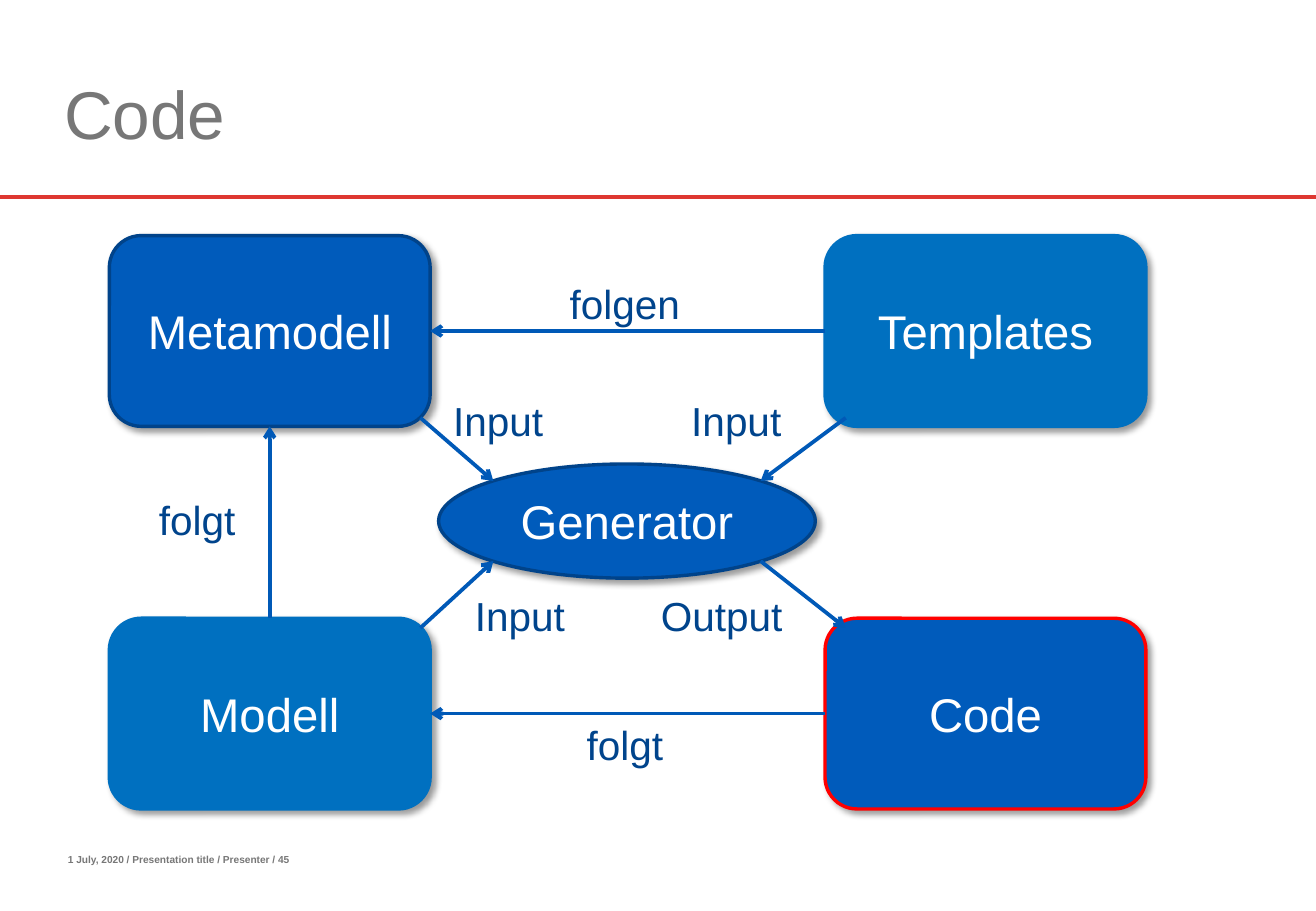
from dataclasses import dataclass

from lxml import etree
from pptx import Presentation
from pptx.dml.color import RGBColor
from pptx.enum.shapes import MSO_CONNECTOR, MSO_SHAPE
from pptx.enum.text import MSO_ANCHOR, PP_ALIGN
from pptx.oxml import parse_xml
from pptx.oxml.ns import nsdecls, qn
from pptx.util import Inches, Pt

ROUND, OVAL = MSO_SHAPE.ROUNDED_RECTANGLE, MSO_SHAPE.OVAL
STRAIGHT = MSO_CONNECTOR.STRAIGHT
TOP, MIDDLE, BOTTOM = MSO_ANCHOR.TOP, MSO_ANCHOR.MIDDLE, MSO_ANCHOR.BOTTOM
CENTER = PP_ALIGN.CENTER
NORTH, WEST, SOUTH, EAST = range(4)
FONT = "Arial"
GRAY, RED, WHITE = "777777", "DE3731", "FFFFFF"
BLUE, LIGHT, NAVY, ALERT = "005BBB", "0070C0", "00438A", "FF0000"
ARROW, LABEL = "0059B7", "00448C"
LEFT, RIGHT, UPPER, LOWER = 0.9, 6.79, 1.94, 5.09
WIDE, HIGH = 2.64, 1.57


@dataclass
class Node:
    name: str
    x: float
    y: float
    fill: str
    edge: str
    w: float = WIDE
    h: float = HIGH
    kind: int = ROUND


@dataclass
class Link:
    start: str
    out: int
    end: str
    into: int


@dataclass
class Ray:
    x1: float
    y1: float
    x2: float
    y2: float


@dataclass
class Note:
    text: str
    x: float
    y: float
    w: float
    h: float = 0.5
    size: int = 24
    color: str = LABEL
    bold: bool = False
    wrap: bool = False
    anchor: int = TOP


NODES = [
    Node("Metamodell", LEFT, UPPER, BLUE, NAVY),
    Node("Modell", LEFT, LOWER, LIGHT, LIGHT),
    Node("Templates", RIGHT, UPPER, LIGHT, LIGHT),
    Node("Code", RIGHT, LOWER, BLUE, ALERT),
    Node("Generator", 3.61, 3.82, BLUE, NAVY, 3.1, 0.94, OVAL),
]
LINKS = [
    Link("Modell", NORTH, "Metamodell", SOUTH),
    Link("Templates", WEST, "Metamodell", EAST),
    Link("Code", WEST, "Modell", EAST),
]
RAYS = [
    Ray(3.46, 3.44, 4.06, 3.96),
    Ray(6.96, 3.44, 6.26, 3.96),
    Ray(3.46, 5.17, 4.06, 4.62),
    Ray(6.26, 4.62, 6.96, 5.17),
]
NOTES = [
    Note("1 July, 2020 / Presentation title / Presenter / 45",
         0.46, 6.98, 4.49, 0.2, 6, GRAY, True, True),
    Note("Code", 0.43, 0.3, 8.03, 1.01, 40, GRAY, False, True, BOTTOM),
    Note("folgen", 4.59, 2.25, 1.14),
    Note("folgt", 1.21, 4.03, 0.84),
    Note("Input", 3.63, 3.21, 0.95),
    Note("Input", 5.59, 3.21, 0.95),
    Note("Input", 3.81, 4.82, 0.95),
    Note("Output", 5.34, 4.82, 1.21),
    Note("folgt", 4.73, 5.88, 0.84),
]


def rgb(code: str) -> RGBColor:
    """Turn a hex string into a colour."""
    return RGBColor.from_string(code)


def write(frame, text: str, size: int, color: str, bold: bool = False) -> None:
    """Add one styled run to the first paragraph."""
    run = frame.paragraphs[0].add_run()
    run.text = text
    font = run.font
    font.name, font.size, font.bold = FONT, Pt(size), bold
    font.color.rgb = rgb(color)


def shade(shape) -> None:
    """Give a shape a soft shadow to the lower right."""
    shape.shadow.inherit = False
    cast = parse_xml(
        f'<a:outerShdw {nsdecls("a")} blurRad="{Pt(4)}" dist="{Pt(3)}" '
        'dir="2700000" algn="tl" rotWithShape="0"><a:srgbClr val="000000">'
        '<a:alpha val="40000"/></a:srgbClr></a:outerShdw>')
    shape._element.spPr.find(qn("a:effectLst")).append(cast)


def add_node(slide, node: Node):
    """Draw a box or oval with its name."""
    shape = slide.shapes.add_shape(
        node.kind, Inches(node.x), Inches(node.y), Inches(node.w), Inches(node.h))
    shape.fill.solid()
    shape.fill.fore_color.rgb = rgb(node.fill)
    shape.line.color.rgb = rgb(node.edge)
    shape.line.width = Pt(2)
    shade(shape)
    frame = shape.text_frame
    frame.vertical_anchor = MIDDLE
    frame.paragraphs[0].alignment = CENTER
    write(frame, node.name, 28, WHITE)
    return shape


def add_line(slide, ray: Ray, color: str, head: bool = True):
    """Draw a straight line, with an arrowhead if asked."""
    line = slide.shapes.add_connector(
        STRAIGHT, Inches(ray.x1), Inches(ray.y1), Inches(ray.x2), Inches(ray.y2))
    line.line.color.rgb = rgb(color)
    line.line.width = Pt(2.25)
    props = line._element.spPr
    if head:
        etree.SubElement(props.find(qn("a:ln")), qn("a:tailEnd"), type="arrow")
    etree.SubElement(props, qn("a:effectLst"))
    return line


def add_note(slide, note: Note) -> None:
    """Place a text box."""
    box = slide.shapes.add_textbox(
        Inches(note.x), Inches(note.y), Inches(note.w), Inches(note.h))
    frame = box.text_frame
    frame.word_wrap = note.wrap
    frame.vertical_anchor = note.anchor
    write(frame, note.text, note.size, note.color, note.bold)


def main() -> None:
    """Build the slide and save it."""
    deck = Presentation()
    deck.slide_width, deck.slide_height = Inches(10.83), Inches(7.5)
    slide = deck.slides.add_slide(deck.slide_layouts[6])
    add_line(slide, Ray(0, 1.62, 10.83, 1.62), RED, False)
    shapes = {node.name: add_node(slide, node) for node in NODES}
    for link in LINKS:
        line = add_line(slide, Ray(0, 0, 0, 0), ARROW)
        line.begin_connect(shapes[link.start], link.out)
        line.end_connect(shapes[link.end], link.into)
    for ray in RAYS:
        add_line(slide, ray, ARROW)
    for note in NOTES:
        add_note(slide, note)
    deck.save("out.pptx")


if __name__ == "__main__":
    main()
